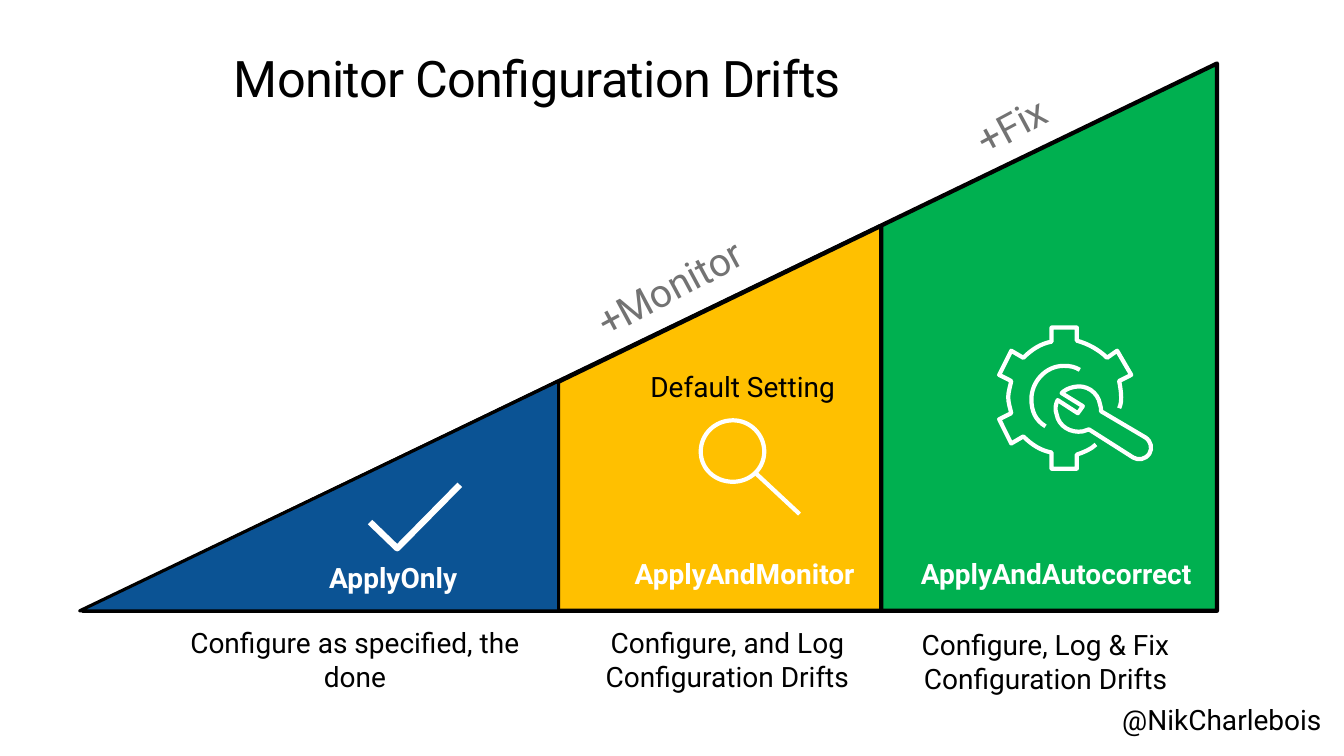
from dataclasses import dataclass
from itertools import chain

from lxml import etree
from pptx import Presentation
from pptx import util as u
from pptx.dml.color import RGBColor
from pptx.enum import shapes, text
from pptx.oxml.ns import qn


@dataclass(frozen=True)
class Theme:
    font: str = "Roboto"
    black: str = "000000"
    white: str = "FFFFFF"
    grey: str = "737373"
    blue: str = "0B5394"
    yellow: str = "FFC000"
    green: str = "00B050"
    title_size: int = 36
    step_size: int = 28
    body_size: int = 20


THEME = Theme()
BASELINE = 6.06
SLOPE_ANGLE = 331.8

# Icon strokes: a pair is a straight move, six numbers are a Bezier curve.
CHECK_MARK = [[(4.56, 4.81), (3.94, 5.44), (3.67, 5.18)]]
MAGNIFIER = [
    [(7.27, 4.78), (7.09, 4.78, 6.95, 4.65, 6.95, 4.48),
     (6.95, 4.31, 7.09, 4.17, 7.27, 4.17), (7.44, 4.17, 7.58, 4.31, 7.58, 4.48),
     (7.58, 4.65, 7.44, 4.78, 7.27, 4.78)],
    [(7.93, 5.1), (7.49, 4.69)],
]
GEAR = [
    (10.87, 4.41), (10.82, 4.46, 10.74, 4.49, 10.68, 4.51),
    (10.68, 4.65), (10.43, 4.65), (10.43, 4.49),
    (10.32, 4.47, 10.23, 4.41, 10.15, 4.33),
    (10.03, 4.4), (9.91, 4.16), (10.03, 4.1),
    (10.02, 4.05, 10, 4, 10, 3.94), (10, 3.89, 10.02, 3.83, 10.03, 3.78),
    (9.91, 3.72), (10.03, 3.48), (10.15, 3.55),
    (10.23, 3.47, 10.32, 3.41, 10.43, 3.39),
    (10.43, 3.25), (10.68, 3.25), (10.68, 3.38),
    (10.79, 3.41, 10.9, 3.47, 10.98, 3.55),
    (11.08, 3.48), (11.22, 3.72), (11.1, 3.78),
    (11.11, 3.83, 11.12, 3.89, 11.12, 3.94),
    (11.12, 3.97, 11.12, 4.01, 11.1, 4.05),
]
GEAR_HUB = [
    (10.71, 3.67), (10.66, 3.64, 10.62, 3.63, 10.55, 3.63),
    (10.37, 3.63, 10.23, 3.79, 10.23, 3.96),
    (10.23, 4.08, 10.27, 4.17, 10.37, 4.23),
]
WRENCH = [
    (10.8, 4.26), (11.24, 4.54), (11.29, 4.57, 11.36, 4.56, 11.4, 4.5),
    (11.43, 4.45, 11.42, 4.38, 11.36, 4.34), (10.92, 4.08),
    (10.92, 4.06, 10.92, 4.03, 10.91, 4.01),
    (10.89, 3.89, 10.77, 3.81, 10.65, 3.84),
    (10.6, 3.85, 10.56, 3.87, 10.53, 3.9),
    (10.74, 4.03), (10.69, 4.1), (10.49, 3.97),
    (10.47, 4.01, 10.46, 4.06, 10.48, 4.11),
    (10.5, 4.23, 10.62, 4.3, 10.74, 4.28),
    (10.76, 4.27, 10.78, 4.27, 10.8, 4.26),
]


def end_point(part):
    return u.Inches(part[-2]), u.Inches(part[-1])


def bend(drawing, parts):
    """Replace straight segments by curves where a part has control points."""
    segments = list(drawing._element.iter(qn("a:lnTo")))
    for segment, part in zip(segments, parts):
        if len(part) == 2:
            continue
        segment.tag = qn("a:cubicBezTo")
        for index in (0, 2):
            control = etree.Element(qn("a:pt"))
            control.set("x", str(u.Inches(part[index]) - drawing.left))
            control.set("y", str(u.Inches(part[index + 1]) - drawing.top))
            segment.insert(index // 2, control)


def write(frame, words, size=THEME.body_size, color=THEME.black, bold=False,
          align=text.PP_ALIGN.LEFT, anchor=text.MSO_ANCHOR.TOP):
    frame.margin_left = frame.margin_right = frame.margin_top = frame.margin_bottom = 0
    frame.word_wrap = True
    frame.auto_size = text.MSO_AUTO_SIZE.SHAPE_TO_FIT_TEXT
    frame.vertical_anchor = anchor
    para = frame.paragraphs[0]
    para.alignment = align
    span = para.add_run()
    span.text = words
    span.font.name = THEME.font
    span.font.size = u.Pt(size)
    span.font.bold = bold
    span.font.color.rgb = RGBColor.from_string(color)
    return para


class SlideBuilder:
    def __init__(self, deck):
        self.page = deck.slides.add_slide(deck.slide_layouts[5])

    def title(self, words, left, top, width, height):
        box = self.page.shapes.title
        box.left, box.top = u.Inches(left), u.Inches(top)
        box.width, box.height = u.Inches(width), u.Inches(height)
        para = write(box.text_frame, words, size=THEME.title_size,
                     anchor=text.MSO_ANCHOR.BOTTOM)
        para.line_spacing = 0.9
        para.runs[0].font._element.set("spc", "-50")

    def wedge(self, right, run, rise, color, weight):
        """Draw a ramp that climbs to the right from the baseline."""
        center_x, center_y = right - run / 2, BASELINE - rise / 2
        ramp = self.page.shapes.add_shape(
            shapes.MSO_SHAPE.RIGHT_TRIANGLE,
            u.Inches(center_x - rise / 2), u.Inches(center_y - run / 2),
            u.Inches(rise), u.Inches(run))
        ramp.rotation = 270
        ramp.shadow.inherit = False
        ramp.fill.solid()
        ramp.fill.fore_color.rgb = RGBColor.from_string(color)
        self.outline(ramp, THEME.black, weight)

    def outline(self, shape, color, weight):
        shape.line.color.rgb = RGBColor.from_string(color)
        shape.line.width = u.Pt(weight)

    def icon(self, strokes, weight=3):
        builder = self.page.shapes.build_freeform(*end_point(strokes[0][0]))
        for index, stroke in enumerate(strokes):
            points = [end_point(part) for part in stroke]
            if index:
                builder.move_to(*points[0])
            builder.add_line_segments(points[1:], close=points[0] == points[-1])
        drawing = builder.convert_to_shape()
        bend(drawing, chain.from_iterable(stroke[1:] for stroke in strokes))
        drawing.shadow.inherit = False
        drawing.fill.background()
        self.outline(drawing, THEME.white, weight)

    def label(self, words, left, top, width, height=0.34, rotation=0, **style):
        box = self.page.shapes.add_textbox(
            u.Inches(left), u.Inches(top), u.Inches(width), u.Inches(height))
        box.rotation = rotation
        write(box.text_frame, words, **style)


def main():
    deck = Presentation()
    deck.slide_width, deck.slide_height = u.Inches(13.33), u.Inches(7.5)
    slide = SlideBuilder(deck)
    slide.title("Monitor Configuration Drifts", 2.32, 0.47, 10, 0.61)

    slide.wedge(12.07, 11.25, 5.43, THEME.green, 3)
    slide.wedge(8.74, 7.9, 3.82, THEME.yellow, 3)
    slide.wedge(5.54, 4.75, 2.28, THEME.blue, 2.25)

    slide.icon(CHECK_MARK, weight=4.5)
    slide.icon(MAGNIFIER)
    slide.icon([GEAR, GEAR_HUB, WRENCH])

    center = text.PP_ALIGN.CENTER
    for mode, left, top, width in (
            ("ApplyOnly", 2.69, 5.56, 2.42),
            ("ApplyAndMonitor", 5.9, 5.52, 2.97),
            ("ApplyAndAutocorrect", 8.99, 5.52, 2.97)):
        slide.label(mode, left, top, width, color=THEME.white, bold=True, align=center)
    for summary, left, top, width in (
            ("Configure as specified, the done", 1.79, 6.21, 3.46),
            ("Configure, and Log Configuration Drifts", 5.81, 6.21, 2.81),
            ("Configure, Log & Fix Configuration Drifts", 8.74, 6.23, 3.26)):
        slide.label(summary, left, top, width, 1.01, align=center)
    for step, left, top in (("+Monitor", 5.8, 2.38), ("+Fix", 9.56, 0.57)):
        slide.label(step, left, top, 2.55, 0.47, rotation=SLOPE_ANGLE,
                    size=THEME.step_size, color=THEME.grey)
    slide.label("Default Setting", 6.45, 3.67, 3.32)
    slide.label("@NikCharlebois", 11.13, 6.97, 2.17)

    deck.save("out.pptx")


if __name__ == "__main__":
    main()
